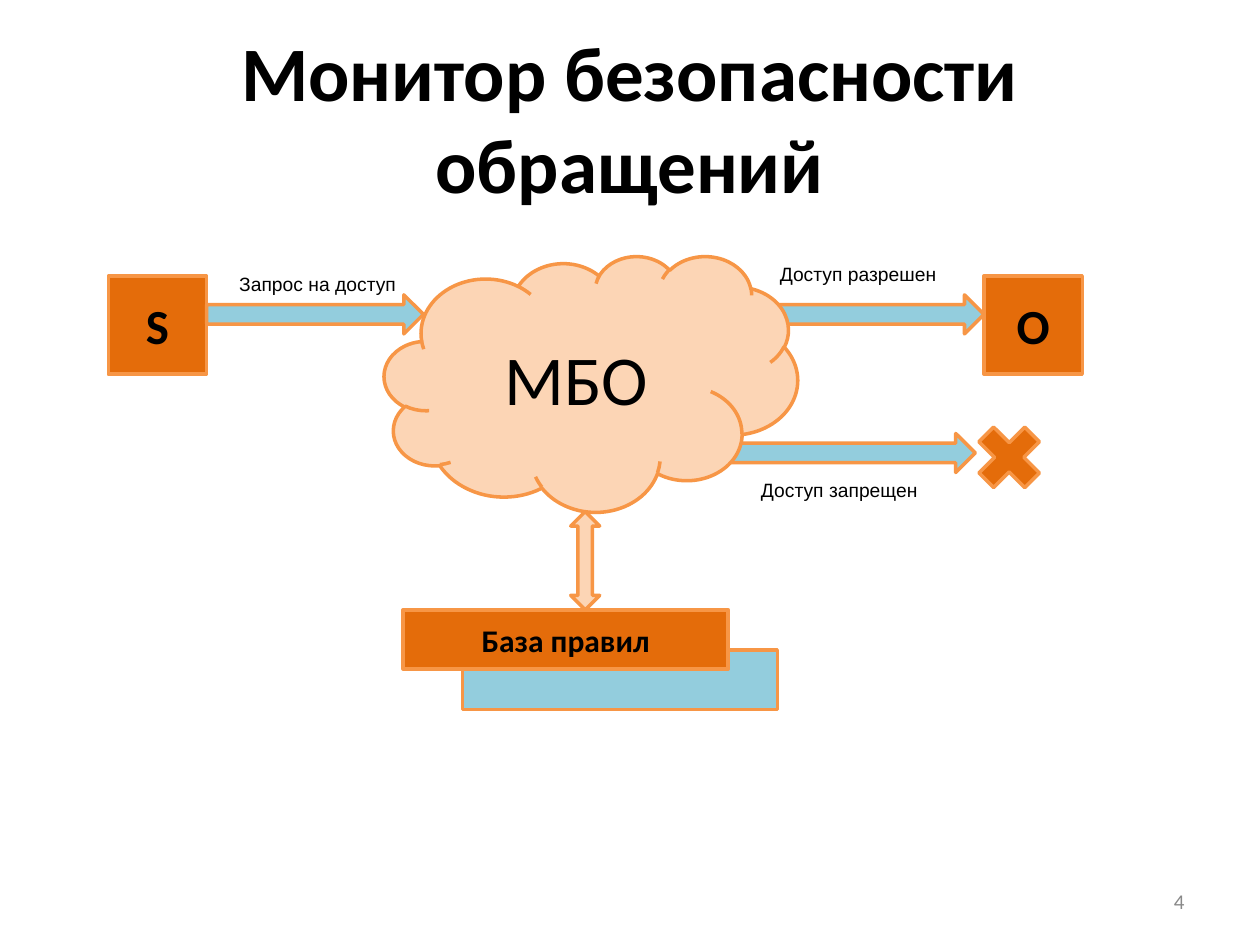
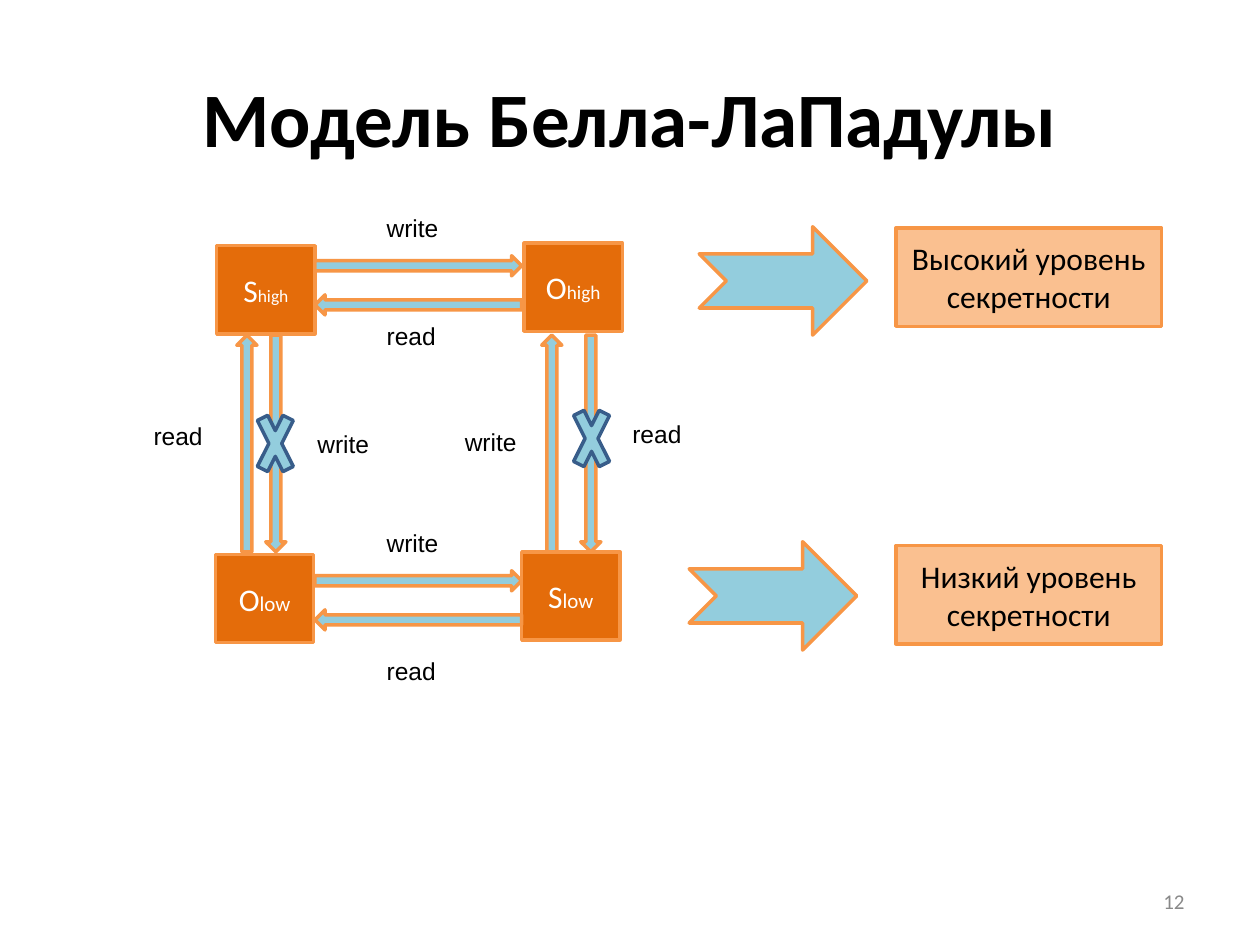
from dataclasses import dataclass

from pptx import Presentation
from pptx.dml.color import RGBColor
from pptx.enum.shapes import MSO_SHAPE
from pptx.enum.text import MSO_ANCHOR, PP_ALIGN
from pptx.slide import Slide
from pptx.text.text import TextFrame
from pptx.util import Emu, Pt

PX = 9144  # EMU per px: 100 px to the inch
SLIDE_WIDTH, SLIDE_HEIGHT = 1000, 750

COLORS = {
    "ink": "000000",
    "white": "FFFFFF",
    "page_number": "898989",
    "node": "E46C0A",
    "border": "F79646",
    "arrow": "93CDDD",
    "monitor": "FCD5B5",
    "level": "FAC090",
    "denied_border": "385D8A",
}


@dataclass(frozen=True)
class TextStyle:
    size: int
    font: str = "Calibri"
    color: str = "ink"
    bold: bool = False
    align: PP_ALIGN = PP_ALIGN.CENTER
    anchor: MSO_ANCHOR = MSO_ANCHOR.MIDDLE


@dataclass(frozen=True)
class Box:
    left: int
    top: int
    width: int
    height: int

    def emu(self) -> list[Emu]:
        return [Emu(px * PX) for px in (self.left, self.top, self.width, self.height)]


BODY = TextStyle(18)
TITLE = TextStyle(44, bold=True)
PAGE_NUMBER = TextStyle(12, color="page_number", align=PP_ALIGN.RIGHT)
LETTER = TextStyle(28, bold=True)
RULES = TextStyle(18, bold=True)
MONITOR = TextStyle(40)
NODE = TextStyle(18, color="white")
FLOW_LABEL = TextStyle(11, "Arial", align=PP_ALIGN.LEFT, anchor=MSO_ANCHOR.TOP)
RIGHT_LABEL = TextStyle(14, "Arial", align=PP_ALIGN.LEFT, anchor=MSO_ANCHOR.TOP)


@dataclass(frozen=True)
class Block:
    kind: MSO_SHAPE
    box: Box
    fill: str = "arrow"
    text: str = ""
    style: TextStyle = BODY
    suffix: str = ""
    suffix_size: int = 12
    border: str = "border"


@dataclass(frozen=True)
class Label:
    text: str
    box: Box
    style: TextStyle


def rgb(color: str) -> RGBColor:
    return RGBColor.from_string(COLORS[color])


def write(frame: TextFrame, text: str, style: TextStyle,
          suffix: str = "", suffix_size: int = 12) -> None:
    """Fill the frame with one paragraph, ending in an optional smaller suffix."""
    frame.word_wrap = True
    frame.vertical_anchor = style.anchor
    paragraph = frame.paragraphs[0]
    paragraph.alignment = style.align
    paragraph.font.name = style.font
    paragraph.font.size = Pt(style.size)
    paragraph.font.bold = style.bold
    paragraph.font.color.rgb = rgb(style.color)
    paragraph.add_run().text = text
    if suffix:
        ending = paragraph.add_run()
        ending.text = suffix
        ending.font.size = Pt(suffix_size)


def draw_label(slide: Slide, label: Label) -> None:
    frame = slide.shapes.add_textbox(*label.box.emu()).text_frame
    write(frame, label.text, label.style)
    if label.style.align == PP_ALIGN.LEFT:
        frame.margin_right = 0


def draw_block(slide: Slide, block: Block) -> None:
    shape = slide.shapes.add_shape(block.kind, *block.box.emu())
    shape.shadow.inherit = False
    shape.fill.solid()
    shape.fill.fore_color.rgb = rgb(block.fill)
    shape.line.color.rgb = rgb(block.border)
    shape.line.width = Pt(2)
    if block.text:
        write(shape.text_frame, block.text, block.style, block.suffix, block.suffix_size)


def add_slide(deck: Presentation, title: str, number: int,
              blocks: list[Block], labels: list[Label]) -> None:
    slide = deck.slides.add_slide(deck.slide_layouts[6])
    draw_label(slide, Label(str(number), Box(717, 695, 233, 40), PAGE_NUMBER))
    draw_label(slide, Label(title, Box(50, 30, 900, 125), TITLE))
    for block in blocks:
        draw_block(slide, block)
    for label in labels:
        draw_label(slide, label)


def add_monitor_slide(deck: Presentation) -> None:
    subject, target = (
        Block(MSO_SHAPE.RECTANGLE, Box(left, 219, 78, 78), "node", letter, LETTER)
        for letter, left in (("S", 86), ("O", 781))
    )
    request, allowed, denied = (
        Block(MSO_SHAPE.RIGHT_ARROW, Box(left, top, width, 31))
        for left, top, width in ((164, 234, 172), (617, 234, 164), (555, 344, 219))
    )
    blocks = [
        subject,
        Block(MSO_SHAPE.RECTANGLE, Box(367, 516, 250, 47)),
        Block(MSO_SHAPE.RECTANGLE, Box(320, 484, 258, 47), "node", "База правил", RULES),
        Block(MSO_SHAPE.MATH_MULTIPLY, Box(766, 328, 70, 70), "node"),
        target,
        allowed,
        denied,
        Block(MSO_SHAPE.CLOUD, Box(305, 203, 328, 203), "monitor", "МБО", MONITOR),
        Block(MSO_SHAPE.UP_DOWN_ARROW, Box(453, 406, 23, 78), "monitor"),
        request,
    ]
    labels = [
        Label(text, Box(left, top, 148, 29), FLOW_LABEL)
        for text, left, top in (
            ("Запрос на доступ", 180, 211),
            ("Доступ запрещен", 594, 375),
            ("Доступ разрешен", 609, 203),
        )
    ]
    add_slide(deck, "Монитор безопасности обращений", 4, blocks, labels)


def add_model_slide(deck: Presentation) -> None:
    blocks = [
        Block(MSO_SHAPE.RECTANGLE, Box(left, top, 78, 70), "node",
              letter, NODE, level, level_size)
        for letter, level, level_size, left, top in (
            ("S", "high", 10, 172, 195),
            ("S", "low", 12, 414, 438),
            ("O", "low", 12, 171, 440),
            ("O", "high", 11, 416, 193),
        )
    ]
    blocks += [
        Block(kind, Box(left, 266, 16, 172))
        for kind, left in (
            (MSO_SHAPE.DOWN_ARROW, 461),
            (MSO_SHAPE.DOWN_ARROW, 211),
            (MSO_SHAPE.UP_ARROW, 188),
            (MSO_SHAPE.UP_ARROW, 430),
        )
    ]
    blocks += [
        Block(kind, Box(250, row_top + offset, 164, 16))
        for kind, offset in ((MSO_SHAPE.RIGHT_ARROW, 0), (MSO_SHAPE.LEFT_ARROW, 31))
        for row_top in (203, 453)
    ]
    for level, pointer_left, pointer_top, level_top in (
        ("Высокий", 555, 180, 181),
        ("Низкий", 547, 430, 433),
    ):
        blocks += [
            Block(MSO_SHAPE.NOTCHED_RIGHT_ARROW, Box(pointer_left, pointer_top, 133, 86)),
            Block(MSO_SHAPE.RECTANGLE, Box(711, level_top, 211, 78), "level",
                  f"{level} уровень секретности"),
        ]
    blocks += [
        Block(MSO_SHAPE.MATH_MULTIPLY, Box(left, top, 39, 78), border="denied_border")
        for left, top in ((450, 309), (199, 313))
    ]
    label_places = {
        "read": ((297, 250), (492, 328), (112, 329), (297, 516)),
        "write": ((297, 164), (359, 334), (242, 336), (297, 414)),
    }
    labels = [
        Label(right, Box(left, top, 62, 34), RIGHT_LABEL)
        for right, places in label_places.items()
        for left, top in places
    ]
    add_slide(deck, "Модель Белла-ЛаПадулы", 12, blocks, labels)


def main() -> None:
    deck = Presentation()
    deck.slide_width = Emu(SLIDE_WIDTH * PX)
    deck.slide_height = Emu(SLIDE_HEIGHT * PX)
    add_monitor_slide(deck)
    add_model_slide(deck)
    deck.save("out.pptx")


if __name__ == "__main__":
    main()
